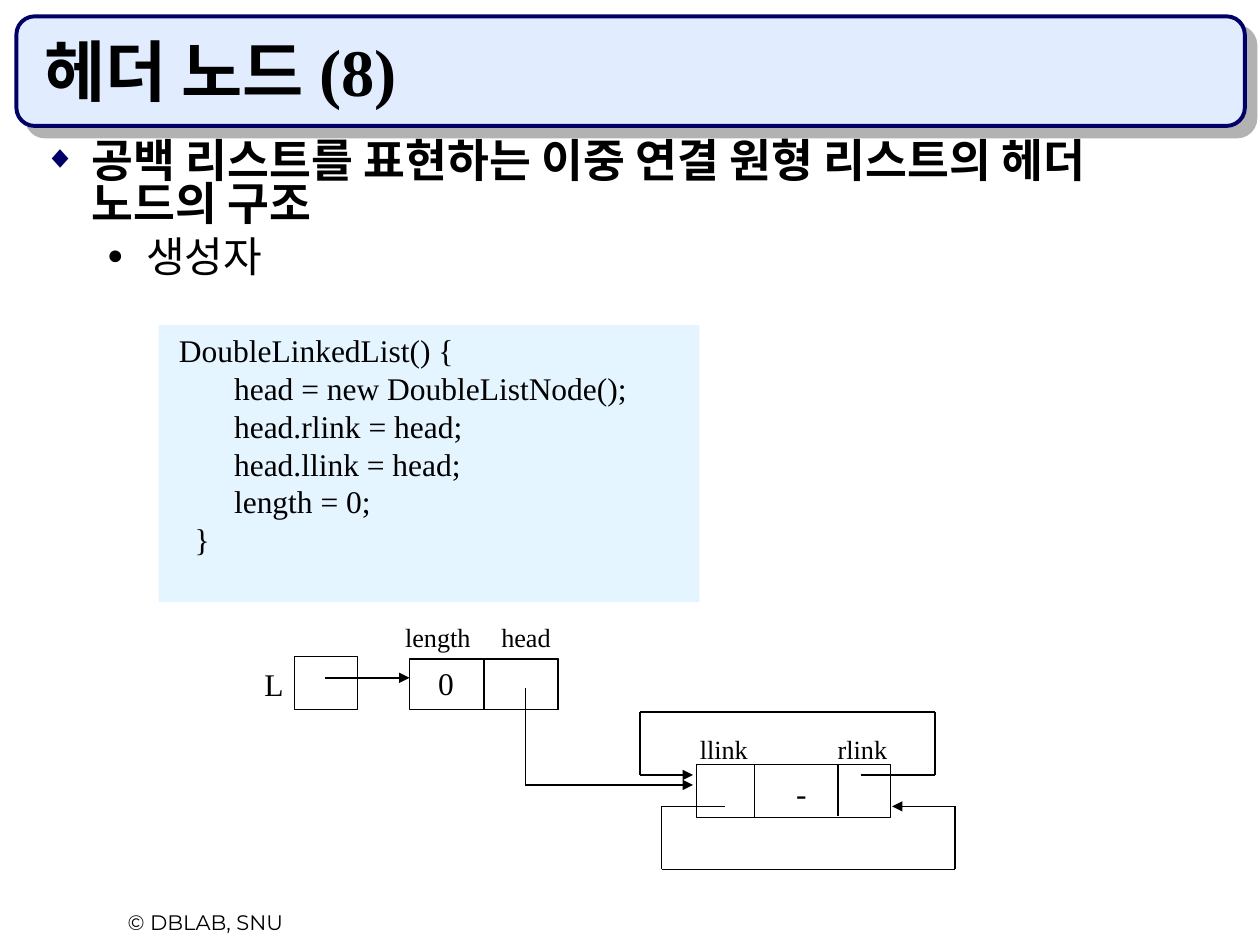
import dataclasses

import lxml.etree
import pptx
import pptx.dml.color
import pptx.enum.shapes
import pptx.enum.text
import pptx.oxml.ns
import pptx.util

Inches = pptx.util.Inches
Pt = pptx.util.Pt
qn = pptx.oxml.ns.qn
ALIGN = pptx.enum.text.PP_ALIGN
ANCHOR = pptx.enum.text.MSO_ANCHOR
SHAPE = pptx.enum.shapes.MSO_SHAPE


@dataclasses.dataclass
class Theme:
    ink: object = pptx.dml.color.RGBColor.from_string("000000")
    navy: object = pptx.dml.color.RGBColor.from_string("000066")
    banner: object = pptx.dml.color.RGBColor.from_string("E1ECFF")
    shadow: object = pptx.dml.color.RGBColor.from_string("B2B2B2")
    code: object = pptx.dml.color.RGBColor.from_string("CCECFF")
    serif: str = "Times New Roman"
    sans: str = "Montserrat"
    title_size: object = Pt(38)
    topic_size: object = Pt(26)
    detail_size: object = Pt(24)
    text_size: object = Pt(18)
    label_size: object = Pt(15)
    footer_size: object = Pt(12)


theme = Theme()


def apply_format(target, values):
    for name, value in values.items():
        setattr(target, name, value)


def write_text(shape, lines, size, frame_format, paragraph_format, font=theme.serif, bold=False):
    frame = shape.text_frame
    apply_format(frame, {"word_wrap": True, "auto_size": pptx.enum.text.MSO_AUTO_SIZE.NONE, **frame_format})
    for index, line in enumerate(lines):
        paragraph = frame.paragraphs[0] if index == 0 else frame.add_paragraph()
        apply_format(paragraph, {"alignment": ALIGN.LEFT, "space_before": Pt(0), **paragraph_format})
        run = paragraph.add_run()
        run.text = line
        apply_format(run.font, {"name": font, "size": size, "bold": bold})
        run.font.color.rgb = theme.ink


presentation = pptx.Presentation()
apply_format(presentation, {"slide_width": Inches(10), "slide_height": Inches(7.5)})
slide = presentation.slides.add_slide(presentation.slide_layouts[1])

banner = slide.shapes.add_shape(
    SHAPE.ROUNDED_RECTANGLE, Inches(0.13), Inches(0.13), Inches(9.75), Inches(0.87)
)
banner.adjustments[0] = 0.167
banner.fill.solid()
banner.fill.fore_color.rgb = theme.banner
banner.line.color.rgb = theme.navy
banner.line.width = Pt(2.25)
banner.shadow.inherit = False
shadow = lxml.etree.SubElement(
    banner._element.spPr.find(qn("a:effectLst")),
    qn("a:outerShdw"),
    dist=str(Pt(8.5)),
    dir="2700000",
    algn="ctr",
    rotWithShape="0",
)
lxml.etree.SubElement(shadow, qn("a:srgbClr"), val=str(theme.shadow))
slide.shapes._spTree.insert(2, banner._element)

title = slide.shapes.title
apply_format(
    title, {"left": Inches(0.25), "top": Inches(0.25), "width": Inches(9.42), "height": Inches(0.67)}
)
write_text(title, ["헤더 노드 (8)"], theme.title_size, {"vertical_anchor": ANCHOR.BOTTOM}, {}, bold=True)

body = slide.placeholders[1]
apply_format(
    body, {"left": Inches(0.25), "top": Inches(1.08), "width": Inches(9.42), "height": Inches(5.83)}
)
write_text(
    body,
    ["공백 리스트를 표현하는 이중 연결 원형 리스트의 헤더 노드의 구조", "생성자"],
    theme.topic_size,
    {},
    {"line_spacing": 0.8},
    bold=True,
)
topic, detail = body.text_frame.paragraphs
apply_format(detail, {"level": 1, "space_before": Pt(6)})
apply_format(detail.runs[0].font, {"size": theme.detail_size, "bold": False})
for paragraph, margin, hanging, color, percent, symbol in [
    (topic, 0.38, 0.38, theme.navy, 70, "◆"),
    (detail, 0.81, 0.31, theme.ink, 65, "●"),
]:
    properties = paragraph._p.get_or_add_pPr()
    properties.set("marL", str(Inches(margin)))
    properties.set("indent", str(-Inches(hanging)))
    bullet_color = lxml.etree.SubElement(properties, qn("a:buClr"))
    lxml.etree.SubElement(bullet_color, qn("a:srgbClr"), val=str(color))
    lxml.etree.SubElement(properties, qn("a:buSzPct"), val=str(percent * 1000))
    lxml.etree.SubElement(properties, qn("a:buFont"), typeface=theme.serif)
    lxml.etree.SubElement(properties, qn("a:buChar"), char=symbol)

diagram = slide.shapes.add_group_shape()
for left, top, width, height in [
    (2.34, 5.21, 0.5, 0.42),
    (3.25, 5.23, 0.59, 0.4),
    (3.84, 5.23, 0.59, 0.4),
    (5.53, 6.07, 0.46, 0.42),
    (5.99, 6.07, 1.08, 0.42),
]:
    node = diagram.shapes.add_shape(
        SHAPE.RECTANGLE, Inches(left), Inches(top), Inches(width), Inches(height)
    )
    node.shadow.inherit = False
    node.fill.background()
    node.line.color.rgb = theme.ink
    node.line.width = Pt(0.75)

dividers = [([(x, 5.23), (x, 5.63)], 1, False) for x in (3.25, 3.84, 4.43)]
dividers.append(([(6.65, 6.07), (6.65, 6.48)], 0.75, False))
links = [
    ([(2.58, 5.38), (3.25, 5.38)], 0.75, True),
    ([(4.17, 5.46), (4.17, 6.23), (5.5, 6.23)], 0.75, True),
    ([(6.83, 6.15), (7.42, 6.15), (7.42, 5.65), (5.08, 5.65), (5.08, 6.15), (5.5, 6.15)], 0.75, True),
    ([(5.75, 6.4), (5.25, 6.4), (5.25, 6.9), (7.58, 6.9), (7.58, 6.4), (7.08, 6.4)], 0.75, True),
]
for points, weight, has_arrow in dividers + links:
    for start, end in zip(points, points[1:]):
        connector = diagram.shapes.add_connector(
            pptx.enum.shapes.MSO_CONNECTOR.STRAIGHT, *map(Inches, start + end)
        )
        connector.line.color.rgb = theme.ink
        connector.line.width = Pt(weight)
        properties = connector._element.spPr
        if has_arrow and end == points[-1]:
            lxml.etree.SubElement(properties.find(qn("a:ln")), qn("a:tailEnd"), type="triangle")
        lxml.etree.SubElement(properties, qn("a:effectLst"))

for text, left, top, width in [
    ("length", 3.03, 4.83, 0.89),
    ("head", 3.83, 4.83, 0.69),
    ("llink", 5.4, 5.72, 0.69),
    ("rlink", 6.5, 5.72, 0.69),
]:
    label = diagram.shapes.add_textbox(Inches(left), Inches(top), Inches(width), Inches(0.4))
    write_text(
        label,
        [text],
        theme.label_size,
        {"vertical_anchor": ANCHOR.BOTTOM},
        {"alignment": ALIGN.CENTER, "line_spacing": 0.8},
    )

for text, left, top, width, alignment in [
    ("L", 2, 5.23, 0.35, ALIGN.LEFT),
    ("0", 3.25, 5.22, 0.58, ALIGN.CENTER),
    ("-", 6.22, 6.09, 0.28, ALIGN.LEFT),
]:
    value = diagram.shapes.add_textbox(Inches(left), Inches(top), Inches(width), Inches(0.4))
    write_text(value, [text], theme.text_size, {"word_wrap": False}, {"alignment": alignment})

code = slide.shapes.add_shape(SHAPE.RECTANGLE, Inches(1.26), Inches(2.58), Inches(4.29), Inches(2.2))
code.shadow.inherit = False
code.fill.solid()
code.fill.fore_color.rgb = theme.code
code_color = code._element.spPr.find(qn("a:solidFill")).find(qn("a:srgbClr"))
lxml.etree.SubElement(code_color, qn("a:alpha"), val="50000")
code.line.fill.background()
write_text(
    code,
    [
        " DoubleLinkedList() {",
        "        head = new DoubleListNode();",
        "        head.rlink = head;",
        "        head.llink = head;",
        "        length = 0;",
        "   }",
    ],
    theme.text_size,
    {"vertical_anchor": ANCHOR.TOP},
    {},
)

footer = slide.shapes.add_textbox(Inches(0.42), Inches(7.17), Inches(2.42), Inches(0.3))
write_text(footer, ["© DBLAB, SNU"], theme.footer_size, {}, {"alignment": ALIGN.CENTER}, theme.sans)

presentation.save("out.pptx")
